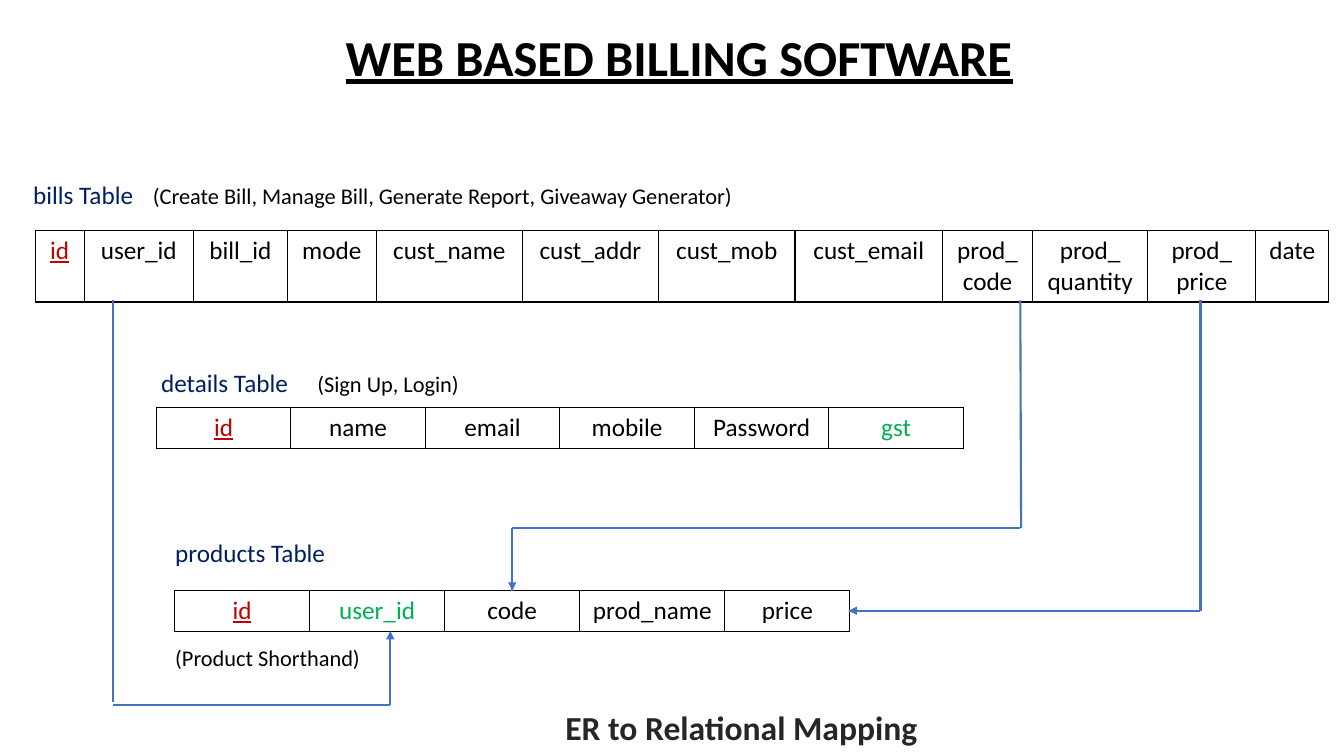
from dataclasses import dataclass

from lxml import etree
from pptx import Presentation
from pptx import util as u
from pptx.dml.color import RGBColor
from pptx.enum import shapes, text
from pptx.oxml import ns

COLORS = {"black": "000000", "heading": "262626", "label": "002060",
          "key": "C00000", "reference": "00B050", "link": "4472C4"}
ROW_HEIGHT = 29.2


@dataclass
class Label:
    content: str
    left: float
    top: float
    width: float
    height: float
    format: dict
    color: str = "black"
    wrap: bool = False


@dataclass
class Relation:
    left: float
    top: float
    widths: list[float]
    fields: list[str]
    references: tuple[str, ...] = ()
    height: float = ROW_HEIGHT


@dataclass
class Link:
    start: tuple[float, float]
    end: tuple[float, float]
    width: float = 1.5
    arrow: bool = False


def format_runs(paragraph, format: dict, color: str) -> None:
    for run in paragraph.runs:
        for name, value in {"name": "Calibri", **format}.items():
            setattr(run.font, name, value)
        run.font.color.rgb = RGBColor.from_string(COLORS[color])


def draw_label(slide, label: Label) -> None:
    box = slide.shapes.add_textbox(
        *map(u.Pt, (label.left, label.top, label.width, label.height)))
    frame = box.text_frame
    frame.word_wrap = label.wrap
    frame.auto_size = text.MSO_AUTO_SIZE.SHAPE_TO_FIT_TEXT
    paragraph = frame.paragraphs[0]
    paragraph.text = label.content
    format_runs(paragraph, label.format, label.color)


def add_borders(cell) -> None:
    properties = cell._tc.get_or_add_tcPr()
    for side in ("a:lnL", "a:lnR", "a:lnT", "a:lnB"):
        border = etree.SubElement(properties, ns.qn(side), w=str(u.Pt(1)))
        fill = etree.SubElement(border, ns.qn("a:solidFill"))
        etree.SubElement(fill, ns.qn("a:srgbClr"), val=COLORS["black"])


def draw_relation(slide, relation: Relation) -> None:
    table = slide.shapes.add_table(
        1, len(relation.fields), u.Pt(relation.left), u.Pt(relation.top),
        u.Pt(sum(relation.widths)), u.Pt(relation.height)).table
    table.first_row = table.horz_banding = False
    for index, (field, width) in enumerate(zip(relation.fields, relation.widths)):
        table.columns[index].width = u.Pt(width)
        cell = table.cell(0, index)
        add_borders(cell)
        cell.fill.background()
        paragraph = cell.text_frame.paragraphs[0]
        paragraph.text = field
        paragraph.alignment = text.PP_ALIGN.CENTER
        is_key = field == "id"
        color = "key" if is_key else "reference" if field in relation.references else "black"
        format_runs(paragraph, {"size": u.Pt(18), "underline": is_key}, color)


def draw_link(slide, link: Link) -> None:
    connector = slide.shapes.add_connector(
        shapes.MSO_CONNECTOR.STRAIGHT, *map(u.Pt, link.start + link.end))
    connector.line.width = u.Pt(link.width)
    connector.line.color.rgb = RGBColor.from_string(COLORS["link"])
    if link.arrow:
        etree.SubElement(connector.line._get_or_add_ln(), ns.qn("a:tailEnd"), type="triangle")
    etree.SubElement(connector._element.spPr, ns.qn("a:effectLst"))


TITLE = {"size": u.Pt(36), "bold": True, "underline": True}
HEADING = {"size": u.Pt(24), "bold": True}
NAME = {"size": u.Pt(18)}
NOTE = {"size": u.Pt(16)}

LABELS = [
    Label("WEB BASED BILLING SOFTWARE", 239.8, 15.1, 495.4, 51, TITLE),
    Label("ER to Relational Mapping", 396.7, 501.1, 268.6, 36, HEADING, "heading"),
    Label("bills Table", 16.6, 124.6, 87.1, 28.8, NAME, "label"),
    Label("details Table", 108, 258.5, 106.6, 28.8, NAME, "label"),
    Label("products Table", 118.1, 380.2, 123.1, 28.8, NAME, "label"),
    Label("(Create Bill, Manage Bill, Generate Report, Giveaway Generator)",
          102.2, 126.7, 465.1, 26.6, NOTE, wrap=True),
    Label("(Sign Up, Login)", 219.6, 260.6, 167, 26.6, NOTE, wrap=True),
    Label("(Product Shorthand)", 118.1, 456.5, 147.6, 26.6, NOTE, wrap=True),
]

RELATIONS = [
    Relation(25.2, 164.5,
             [34.9, 78.1, 67, 63.7, 104.2, 97.4, 97.4, 105.4, 64.4, 82.3, 77.2, 52],
             ["id", "user_id", "bill_id", "mode", "cust_name", "cust_addr", "cust_mob",
              "cust_email", "prod_code", "prod_\vquantity", "prod_\vprice", "date"],
             height=50.4),
    Relation(111.6, 290.9, [96.1] * 6,
             ["id", "name", "email", "mobile", "Password", "gst"], ("gst",)),
    Relation(124.6, 421.7, [96.5, 96.5, 96.5, 103.7, 89.3],
             ["id", "user_id", "code", "prod_name", "price"], ("user_id",)),
]

BILLS_BOTTOM, PRODUCTS_TOP, PRODUCTS_BOTTOM, PRODUCTS_RIGHT = 214.6, 421.9, 450.7, 606.2
USER_X, USER_TURN, USER_END = 80.8, 503.3, 278.8
CODE_X, CODE_TURN, CODE_END = 728.8, 377.3, 365.9
PRICE_X, PRICE_Y = 857.5, 436.3

LINKS = [
    # bills.user_id to products.user_id
    Link((USER_X, BILLS_BOTTOM), (USER_X, 501.1)),
    Link((USER_X, USER_TURN), (USER_END, USER_TURN)),
    Link((USER_END, USER_TURN), (USER_END, PRODUCTS_BOTTOM), arrow=True),
    # bills.prod_code to products.code
    Link((CODE_X, BILLS_BOTTOM), (729.4, CODE_TURN)),
    Link((CODE_X, CODE_TURN), (CODE_END, CODE_TURN)),
    Link((CODE_END, CODE_TURN), (CODE_END, PRODUCTS_TOP)),
    Link((CODE_END, CODE_TURN), (CODE_END, PRODUCTS_TOP), 0.5, True),
    # bills.prod_price to products.price
    Link((PRICE_X, BILLS_BOTTOM), (PRICE_X, PRICE_Y)),
    Link((PRICE_X, PRICE_Y), (PRODUCTS_RIGHT, PRICE_Y)),
    Link((746.6, PRICE_Y), (PRODUCTS_RIGHT, PRICE_Y), 0.5, True),
]

presentation = Presentation()
presentation.slide_width, presentation.slide_height = u.Pt(960), u.Pt(540)
slide = presentation.slides.add_slide(presentation.slide_layouts[6])

for relation in RELATIONS:
    draw_relation(slide, relation)
for label in LABELS:
    draw_label(slide, label)
for link in LINKS:
    draw_link(slide, link)

presentation.save("out.pptx")
